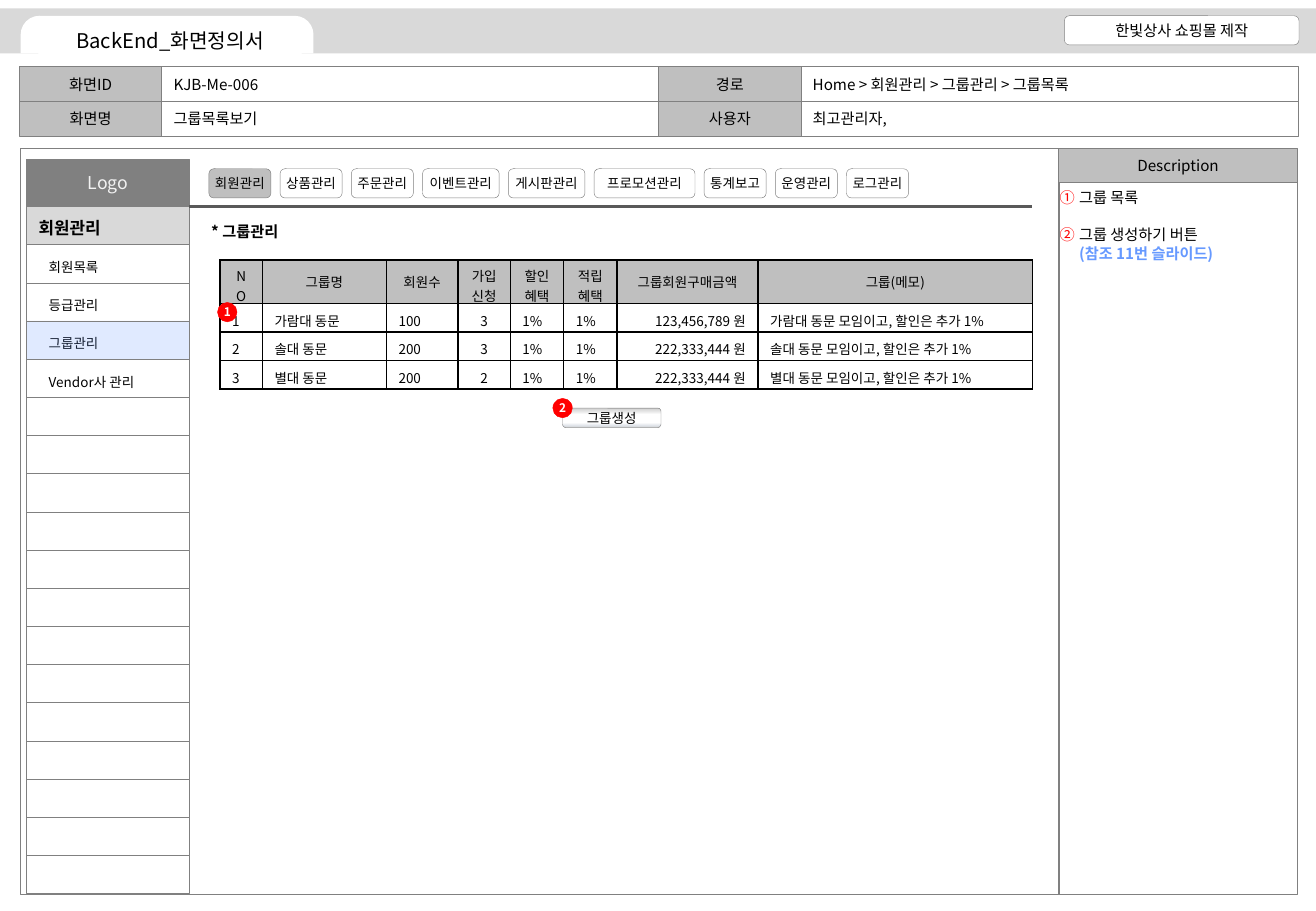
from dataclasses import dataclass
from itertools import accumulate
from typing import NamedTuple

from lxml import etree
from pptx import Presentation
from pptx.dml.color import RGBColor
from pptx.enum.shapes import MSO_CONNECTOR, MSO_SHAPE
from pptx.enum.text import MSO_ANCHOR, PP_ALIGN
from pptx.oxml.ns import qn
from pptx.util import Emu, Inches, Pt

LEFT, CENTER, RIGHT = PP_ALIGN.LEFT, PP_ALIGN.CENTER, PP_ALIGN.RIGHT
TOP, MIDDLE = MSO_ANCHOR.TOP, MSO_ANCHOR.MIDDLE
RECT, ROUND, OVAL = MSO_SHAPE.RECTANGLE, MSO_SHAPE.ROUNDED_RECTANGLE, MSO_SHAPE.OVAL
TAB, STRAIGHT = MSO_SHAPE.ROUND_2_SAME_RECTANGLE, MSO_CONNECTOR.STRAIGHT


@dataclass(frozen=True)
class Theme:
    """Colours, type sizes and insets of the slide."""
    font: str = "Noto Sans CJK KR"
    ink: str = "000000"
    white: str = "FFFFFF"
    pale: str = "F2F2F2"
    band: str = "D9D9D9"
    label: str = "BFBFBF"
    edge: str = "808080"
    rule: str = "595959"
    accent: str = "6699FF"
    alert: str = "FF0000"
    button: tuple = ((0, "BFBFBF"), (8, "D9D9D9"), (34, "FFFFFF"),
                     (74, "FFFFFF"), (93, "DDE1E7"), (100, "CCCCCC"))
    title: float = 12
    logo: float = 10.5
    heading: float = 10
    body: float = 9
    small: float = 8
    badge: float = 7
    inset: tuple = (7.2, 3.6, 7.2, 3.6)
    flush: tuple = (0, 0, 0, 0)


class Box(NamedTuple):
    """Left, top, width and height in percent of the slide."""
    left: float
    top: float
    width: float
    height: float


class Span(NamedTuple):
    """A stretch of text with its own colour and weight."""
    text: str
    color: str
    bold: bool = False


class Column(NamedTuple):
    """Heading, width and alignment of a table column."""
    heading: str
    width: float
    align: PP_ALIGN = LEFT


THEME = Theme()
deck = Presentation()
deck.slide_width, deck.slide_height = Inches(10.83), Inches(7.5)
page = deck.slides.add_slide(deck.slide_layouts[6])


def across(share: float) -> Emu:
    """Turn a percentage of the slide width into a length."""
    return Emu(round(deck.slide_width * share / 100))


def down(share: float) -> Emu:
    """Turn a percentage of the slide height into a length."""
    return Emu(round(deck.slide_height * share / 100))


def place(box: Box) -> tuple:
    """Turn a box into slide lengths."""
    return across(box.left), down(box.top), across(box.width), down(box.height)


def add_xml(parent, tag: str, **attributes: str):
    """Append a DrawingML element."""
    return etree.SubElement(parent, qn(tag), attributes)


def write(frame, text, *, size=THEME.body, color=THEME.ink, bold=False, align=CENTER,
          anchor=MIDDLE, insets=THEME.inset) -> None:
    """Write a text, or paragraphs made of spans, into a text frame."""
    frame.word_wrap, frame.vertical_anchor = True, anchor
    frame.margin_left, frame.margin_top, frame.margin_right, frame.margin_bottom = map(Pt, insets)
    paragraphs = [[Span(text, color, bold)]] if isinstance(text, str) else text
    for number, spans in enumerate(paragraphs):
        para = frame.add_paragraph() if number else frame.paragraphs[0]
        para.alignment = align
        for position, span in enumerate(spans):
            if position:
                para.add_line_break()
            run = para.add_run()
            run.text = span.text
            run.font.size, run.font.bold = Pt(size), span.bold
            run.font.color.rgb = RGBColor.from_string(span.color)
            run.font.name = THEME.font
            add_xml(run.font._element, "a:ea", typeface=THEME.font)


def draw(box: Box, text="", *, kind=RECT, fill=None, line=THEME.edge, **text_format):
    """Draw a preset shape with optional text."""
    shape = page.shapes.add_shape(kind, *place(box))
    shape.shadow.inherit = False
    if fill:
        shape.fill.solid()
        shape.fill.fore_color.rgb = RGBColor.from_string(fill)
    else:
        shape.fill.background()
    if line:
        shape.line.color.rgb = RGBColor.from_string(line)
        shape.line.width = Pt(0.25)
    else:
        shape.line.fill.background()
    if text:
        write(shape.text_frame, text, **text_format)
    return shape


def draw_text(box: Box, text, **text_format):
    """Draw a text box and return its frame."""
    frame = page.shapes.add_textbox(*place(box)).text_frame
    write(frame, text, **text_format)
    return frame


def draw_header() -> None:
    """Draw the title band and the grid of screen facts."""
    draw(Box(0, 0.93, 100, 4.93), fill=THEME.band, line=None)
    tab = draw(Box(1.57, 1.73, 22.25, 4.13), kind=TAB, fill=THEME.white, line=None)
    tab.adjustments[0] = 0.5
    draw(Box(80.89, 1.73, 17.82, 3.2), "한빛상사 쇼핑몰 제작", kind=ROUND, fill=THEME.white)
    draw(Box(2.77, 2.8, 20.31, 3.2), "BackEnd_화면정의서", kind=ROUND, fill=THEME.white,
         line=None, size=THEME.title)
    facts = (("화면ID", "KJB-Me-006", "경로", "Home > 회원관리 > 그룹관리 > 그룹목록"),
             ("화면명", "그룹목록보기", "사용자", "최고관리자,"))
    left, top, label, value, height = 1.48, 7.33, 10.8, 37.77, 3.8
    for row, texts in enumerate(facts):
        for column, text in enumerate(texts):
            pairs, is_value = divmod(column, 2)
            box = Box(left + pairs * (label + value) + is_value * label, top + row * height,
                      value if is_value else label, height)
            draw(box, text, fill=None if is_value else THEME.label,
                 align=LEFT if is_value else CENTER)


def draw_sidebar() -> None:
    """Draw the logo field and the side menu with its selected entry."""
    left, top, width, height, count, selected = 2.03, 22.67, 12.37, 4.19, 18, 3
    draw(Box(left, 17.47, width, 5.2), "Logo", fill=THEME.edge, size=THEME.logo, color=THEME.pale)
    entries = ("회원관리", "회원목록", "등급관리", "그룹관리", "Vendor사 관리")
    cells = [Box(left, top + row * height, width, height) for row in range(count)]
    for row, cell in enumerate(cells):
        text = entries[row] if row < len(entries) else ""
        if row:
            draw(cell, text, fill=THEME.white, size=THEME.small, align=LEFT, insets=(13, 4, 0, 0))
        else:
            draw(cell, text, fill=THEME.band, size=THEME.heading, bold=True, align=LEFT,
                 insets=(7.2, 3, 0, 0))
    tint = draw(cells[selected], fill=THEME.accent)
    add_xml(tint.fill._xPr.find(".//" + qn("a:srgbClr")), "a:alpha", val="20000")


def draw_menu() -> None:
    """Draw the row of menu buttons and the rule below it."""
    names = ("회원관리", "상품관리", "주문관리", "이벤트관리", "게시판관리",
             "프로모션관리", "통계보고", "운영관리", "로그관리")
    widths = {4: 4.71, 5: 5.82, 6: 7.66}
    left, gap = 15.88, 0.7
    for name in names:
        width = widths[len(name)]
        draw(Box(left, 18.53, width, 3.2), name, kind=ROUND, size=THEME.small,
             fill=THEME.label if name == names[0] else None, insets=THEME.flush)
        left += width + gap
    rule = page.shapes.add_connector(STRAIGHT, across(14.4), down(22.67), across(78.39), down(22.67))
    rule.line.color.rgb, rule.line.width = RGBColor.from_string(THEME.rule), Pt(2.25)
    add_xml(rule._element.spPr, "a:effectLst")


def format_cell(cell, text: str, *, fill=None, **text_format) -> None:
    """Give a table cell its text, black borders and fill."""
    write(cell.text_frame, text, size=THEME.small, **text_format)
    cell.vertical_anchor = MIDDLE
    cell.margin_left, cell.margin_top, cell.margin_right, cell.margin_bottom = map(
        Pt, text_format["insets"])
    properties = cell._tc.get_or_add_tcPr()
    for side in ("a:lnL", "a:lnR", "a:lnT", "a:lnB"):
        border = add_xml(properties, side, w=str(Pt(1)))
        add_xml(add_xml(border, "a:solidFill"), "a:srgbClr", val=THEME.ink)
    if fill:
        cell.fill.solid()
        cell.fill.fore_color.rgb = RGBColor.from_string(fill)
    else:
        cell.fill.background()


def draw_group_table() -> None:
    """Draw the table of member groups."""
    columns = (Column("NO", 3.23), Column("그룹명", 9.42), Column("회원수", 5.45),
               Column("가입신청", 3.97, CENTER), Column("할인혜택", 4.06), Column("적립혜택", 4.06),
               Column("그룹회원구매금액", 10.71, RIGHT), Column("그룹(메모)", 20.87))
    groups = (("가람대", "100", "3", "123,456,789"), ("솔대", "200", "3", "222,333,444"),
              ("별대", "200", "2", "222,333,444"))
    heights = (4.8, 3.13, 3.13, 3.13)
    box = Box(16.71, 28.53, sum(column.width for column in columns), sum(heights))
    table = page.shapes.add_table(len(heights), len(columns), *place(box)).table
    table.first_row = table.horz_banding = False
    for row, height in zip(table.rows, heights):
        row.height = down(height)
    for index, column in enumerate(columns):
        table.columns[index].width = across(column.width)
        two_lines = column.width < 5
        format_cell(table.cell(0, index), column.heading, fill=THEME.label,
                    insets=(7.2, 3.6, 7.2, 0 if two_lines else 3.6))
    for number, (name, members, requests, amount) in enumerate(groups, 1):
        texts = (str(number), f"{name} 동문", members, requests, "1%", "1%", f"{amount} 원",
                 f"{name} 동문 모임이고, 할인은 추가 1%")
        for index, text in enumerate(texts):
            format_cell(table.cell(number, index), text, align=columns[index].align,
                        insets=(7.2, 3.6, 7.2, 1))


def draw_description() -> None:
    """Draw the description column with its numbered remarks."""
    left, width = 80.42, 18.19
    draw(Box(left, 16.27, width, 3.78), "Description", fill=THEME.label)
    draw(Box(left, 20.05, width, 78.09))
    remarks = [[Span("그룹 목록", THEME.ink)],
               [Span("그룹 생성하기 버튼", THEME.ink),
                Span("(참조 11번 슬라이드)", THEME.accent, True)]]
    frame = draw_text(Box(80.52, 20.67, 18, 77.33), remarks, align=LEFT, anchor=TOP,
                      insets=THEME.flush)
    for para in frame.paragraphs:
        para.line_spacing = para.space_after = Pt(11)
        properties = para._p.get_or_add_pPr()
        properties.set("marL", str(Inches(0.16)))
        properties.set("indent", str(-Inches(0.16)))
        add_xml(add_xml(properties, "a:buClr"), "a:srgbClr", val=THEME.alert)
        add_xml(properties, "a:buAutoNum", type="circleNumDbPlain")


def draw_create_button() -> None:
    """Draw the shaded button that creates a group."""
    button = draw(Box(42.75, 44.8, 7.48, 2.13), "그룹생성", kind=ROUND, size=THEME.small,
                  insets=THEME.flush)
    button.fill.gradient()
    button.fill.gradient_angle = 270
    stops = button._element.spPr.find(".//" + qn("a:gsLst"))
    stops[:] = []
    for position, color in THEME.button:
        add_xml(add_xml(stops, "a:gs", pos=str(position * 1000)), "a:srgbClr", val=color)


draw(Box(1.57, 16.27, 78.95, 81.87))
draw_header()
draw_sidebar()
draw_menu()
draw_text(Box(15.14, 23.73, 11.08, 3.33), "* 그룹관리", bold=True, align=LEFT, anchor=TOP)
draw_group_table()
draw_create_button()
for number, (left, top) in enumerate(((16.53, 33.2), (42.01, 43.73)), 1):
    draw(Box(left, top, 1.48, 2.13), str(number), kind=OVAL, fill=THEME.alert, line=THEME.alert,
         size=THEME.badge, color=THEME.white, bold=True, insets=THEME.flush)
draw_description()
deck.save("out.pptx")
